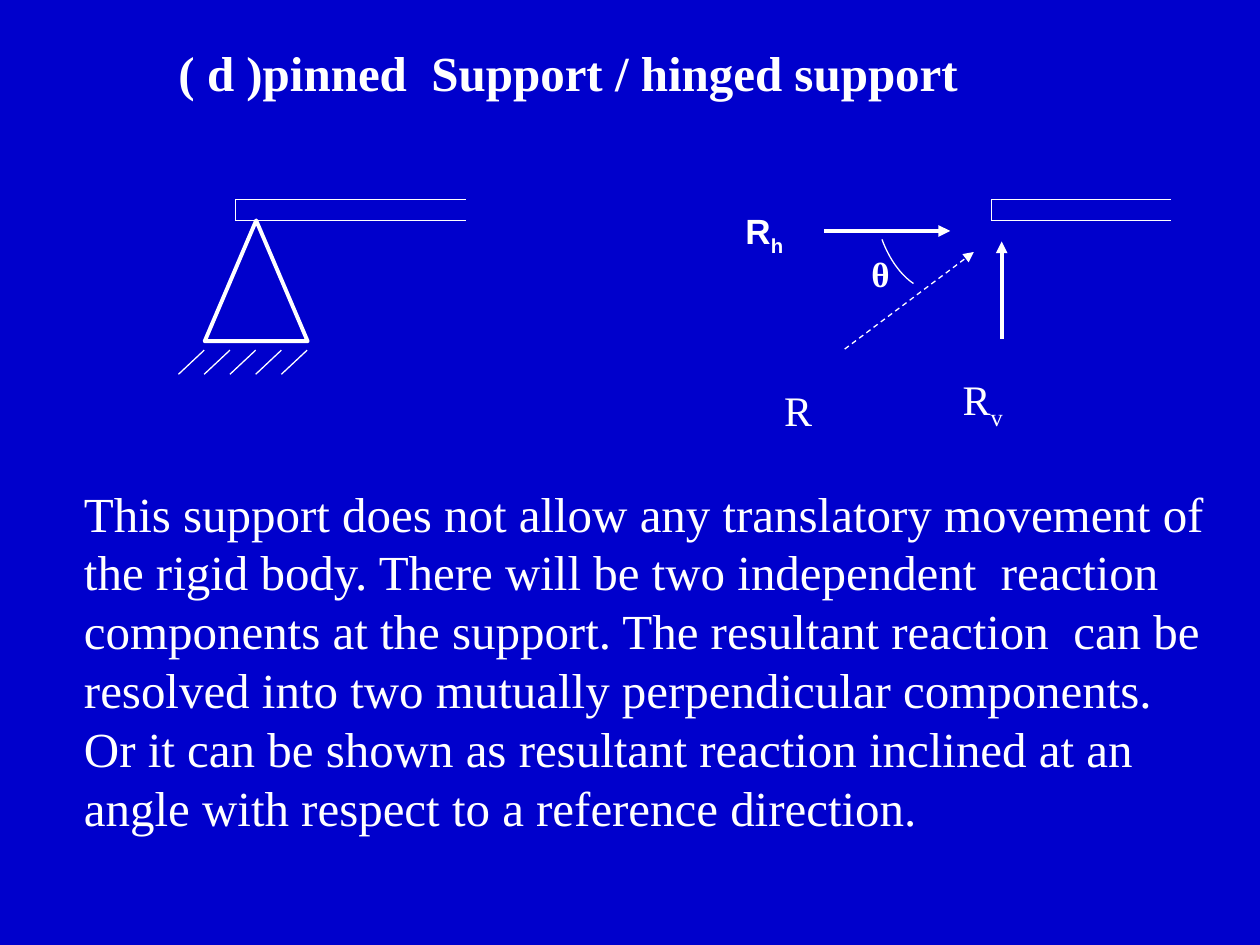
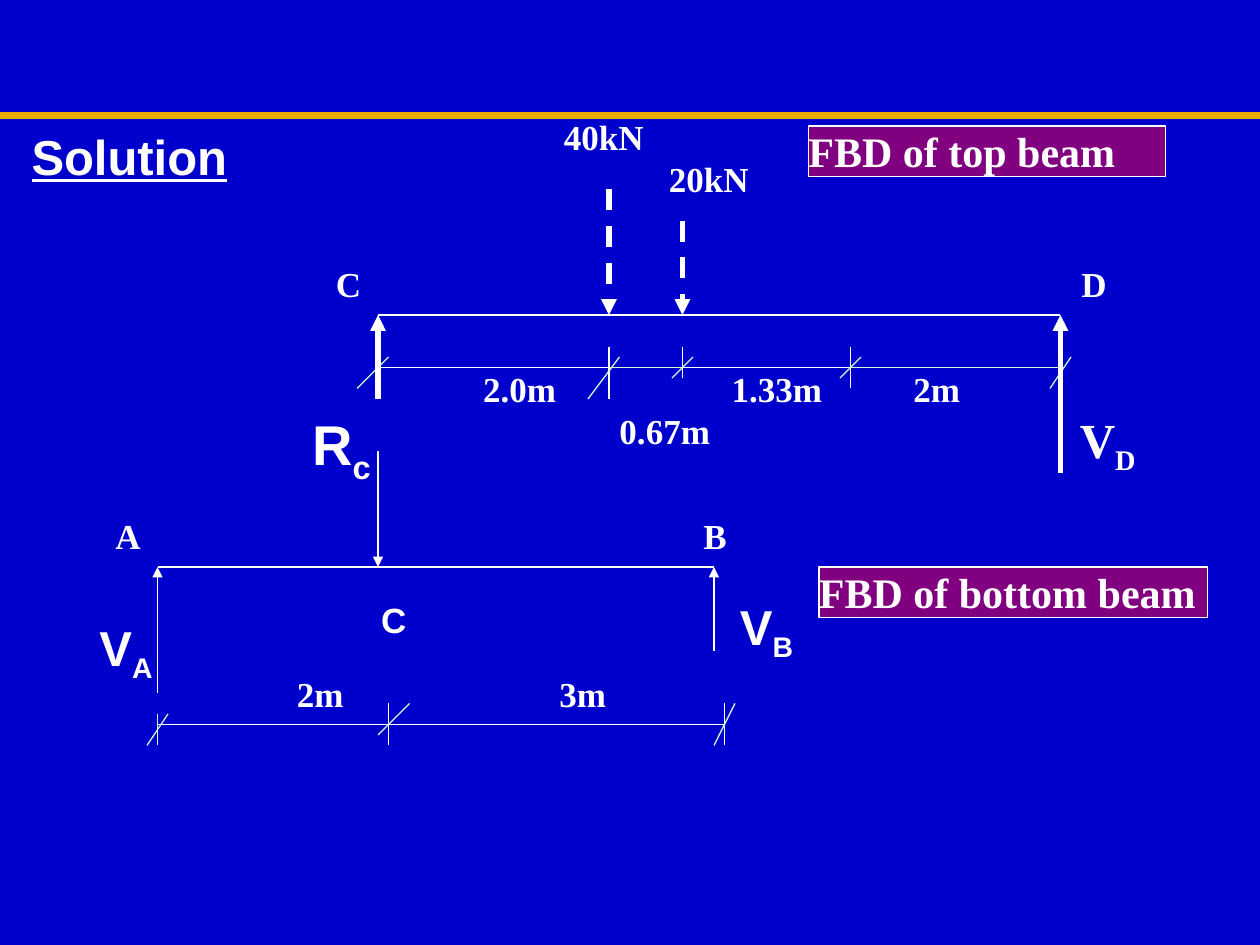
from dataclasses import dataclass

from pptx import Presentation
from pptx.dml.color import RGBColor
from pptx.enum.dml import MSO_LINE
from pptx.enum.shapes import MSO_CONNECTOR, MSO_SHAPE
from pptx.enum.text import MSO_ANCHOR, MSO_AUTO_SIZE, PP_ALIGN
from pptx.oxml.ns import qn
from pptx.util import Inches, Pt
from lxml.etree import SubElement

WIDE, HIGH = Inches(10), Inches(7.5)
COLS, ROWS = 120, 90
NAVY, WHITE, MINT = "0000CC", "FFFFFF", "CCFFCC"
GOLD, PLUM = "E8AB00", "800080"
SERIF, SANS = "Times New Roman", "Arial"


@dataclass
class Rule:
    x1: float
    y1: float
    x2: float
    y2: float
    width: float = 0.75
    color: str = WHITE
    dash: bool = False
    arrow: bool = False


@dataclass
class Label:
    x: float
    y: float
    w: float
    h: float
    text: str
    sub: str = ""
    size: int = 20
    font: str = SERIF
    bold: bool = True
    line: bool = False
    mid: bool = False
    pad: float = 0


def hue(code: str) -> RGBColor:
    return RGBColor.from_string(code)


def col(n: float) -> int:
    return round(WIDE * n / COLS)


def row(n: float) -> int:
    return round(HIGH * n / ROWS)


def place(shape, item: Label) -> None:
    shape.left, shape.top = col(item.x), row(item.y)
    shape.width, shape.height = col(item.w), row(item.h)


def write(shape, item: Label) -> None:
    frame = shape.text_frame
    frame.auto_size = MSO_AUTO_SIZE.NONE
    frame.word_wrap = True
    frame.vertical_anchor = MSO_ANCHOR.TOP
    frame.margin_left = frame.margin_right = col(item.pad)
    frame.margin_top = frame.margin_bottom = row(item.pad / 2)
    para = frame.paragraphs[0]
    para.alignment = PP_ALIGN.CENTER if item.mid else PP_ALIGN.LEFT
    para.space_before = Pt(0)
    for text, low in ((item.text, False), (item.sub, True)):
        if not text:
            continue
        run = para.add_run()
        run.text = text
        font = run.font
        font.name, font.size = item.font, Pt(item.size)
        font.bold, font.color.rgb = item.bold, hue(WHITE)
        if item.line:
            font.underline = True
        if low:
            run._r.get_or_add_rPr().set("baseline", "-25000")


def fill(holder, item: Label) -> None:
    place(holder, item)
    write(holder, item)


def label(slide, item: Label) -> None:
    box = slide.shapes.add_textbox(0, 0, 0, 0)
    fill(box, item)


def plate(slide, item: Label) -> None:
    box = slide.shapes.add_shape(MSO_SHAPE.RECTANGLE, 0, 0, 0, 0)
    box.shadow.inherit = False
    box.fill.solid()
    box.fill.fore_color.rgb = hue(PLUM)
    box.line.color.rgb = hue(WHITE)
    box.line.width = Pt(0.75)
    fill(box, item)


def rule(slide, item: Rule) -> None:
    link = slide.shapes.add_connector(
        MSO_CONNECTOR.STRAIGHT,
        col(item.x1), row(item.y1), col(item.x2), row(item.y2))
    link.line.color.rgb = hue(item.color)
    link.line.width = Pt(item.width)
    if item.dash:
        link.line.dash_style = MSO_LINE.DASH
    if item.arrow:
        SubElement(link.line._get_or_add_ln(), qn("a:tailEnd"), type="triangle")
    SubElement(link._element.spPr, qn("a:effectLst"))


def beam(slide, left: float, right: float) -> None:
    for y in (19, 21):
        rule(slide, Rule(left, y, right, y))
    rule(slide, Rule(left, 19, left, 21))


def outline(shape, width: float) -> None:
    shape.shadow.inherit = False
    shape.fill.background()
    shape.line.color.rgb = hue(WHITE)
    shape.line.width = Pt(width)


def arc(slide) -> None:
    curve = ((87, 27), (85.8, 26.2), (84.7, 24.7), (84, 22.8))
    steps = 16
    points = []
    for i in range(steps + 1):
        t = i / steps
        parts = ((1 - t) ** 3, 3 * t * (1 - t) ** 2, 3 * t * t * (1 - t), t ** 3)
        x = sum(k * p[0] for k, p in zip(parts, curve))
        y = sum(k * p[1] for k, p in zip(parts, curve))
        points.append((col(x), row(y)))
    pen = slide.shapes.build_freeform(*points[0])
    pen.add_line_segments(points[1:], close=False)
    outline(pen.convert_to_shape(), 0.75)


def hinge(deck) -> None:
    slide = deck.slides.add_slide(deck.slide_layouts[1])
    fill(slide.shapes.title, Label(
        17, 4, 75, 5.6, "( d )pinned  Support / hinged support", size=28))
    body = slide.placeholders[1]
    props = body.text_frame.paragraphs[0]._p.get_or_add_pPr()
    props.set("marL", "0")
    props.set("indent", "0")
    SubElement(props, qn("a:buNone"))
    fill(body, Label(
        8, 46, 107, 33.6,
        "This support does not allow any translatory movement of the rigid "
        "body. There will be two independent  reaction components at the "
        "support. The resultant reaction  can be resolved into two mutually "
        "perpendicular components. Or it can be shown as resultant reaction "
        "inclined at an angle with respect to a reference direction.",
        size=28, bold=False))

    pin = slide.shapes.add_shape(
        MSO_SHAPE.ISOSCELES_TRIANGLE, col(19.5), row(21), col(9.8), row(11.5))
    outline(pin, 2.25)
    for i in range(5):
        x = 17 + 2.45 * i
        rule(slide, Rule(x + 2.45, 33.35, x, 35.65))
    beam(slide, 22.45, 44.4)
    beam(slide, 94.4, 111.5)
    arc(slide)
    for item in (
        Rule(80.45, 33.25, 92.75, 24, dash=True, arrow=True),
        Rule(95.4, 32.25, 95.4, 23, 2.25, arrow=True),
        Rule(78.5, 22, 90.5, 22, 2.25, arrow=True),
    ):
        rule(slide, item)
    for item in (
        Label(90.5, 35, 9.8, 4.7, "R", "v", 24, bold=False, pad=1.2),
        Label(73.5, 36, 9.8, 4.7, "R", size=24, bold=False, pad=1.2),
        Label(71, 20, 4.6, 4.6, "R", "h", font=SANS),
        Label(83, 24, 2, 4, "θ"),
    ):
        label(slide, item)


def loads(deck) -> None:
    slide = deck.slides.add_slide(deck.slide_layouts[5])
    rule(slide, Rule(0, 11, COLS, 11, 4.5, GOLD))
    fill(slide.shapes.title, Label(
        3, 12, 20, 5.6, "Solution", size=28, font=SANS, line=True))

    for x1, x2, y in (
        (36, 101, 30), (15, 68, 54), (15, 69, 69), (36, 58, 35), (65, 81, 35),
    ):
        rule(slide, Rule(x1, y, x2, y))
    for x1, x2 in ((58, 65), (81, 101)):
        rule(slide, Rule(x1, 35, x2, 35, color=MINT))
    for x, top, foot in (
        (58, 33, 38), (65, 33, 36), (81, 33, 37), (37, 67, 71), (69, 67, 71),
    ):
        rule(slide, Rule(x, top, x, foot))
    rule(slide, Rule(15, 68, 15, 71, color=MINT))
    for x1, y1, x2, y2 in (
        (37, 34, 34, 37), (59, 34, 56, 38), (66, 34, 64, 36),
        (82, 34, 80, 36), (102, 34, 100, 37),
        (16, 68, 14, 71), (39, 67, 36, 70), (70, 67, 68, 71),
    ):
        rule(slide, Rule(x1, y1, x2, y2, color=MINT))
    for x, start, end, width, dash in (
        (36, 38, 30, 3, False), (101, 45, 30, 3, False),
        (58, 18, 30, 3, True), (65, 21, 30, 3, True),
        (36, 43, 54, 0.75, False), (15, 66, 54, 0.75, False),
        (68, 62, 54, 0.75, False),
    ):
        rule(slide, Rule(x, start, x, end, width, dash=dash, arrow=True))

    for x, y, w, text in (
        (53, 11, 9, "40kN"), (63, 15, 9, "20kN"),
        (42, 35, 15, "2.0m"), (68, 35, 12, "1.33m"),
        (23, 64, 15, "2m"), (47, 64, 17, "3m"),
    ):
        label(slide, Label(x, y, w, 4, text, mid=True))
    for x, y, w, text in (
        (32, 25, 10, "C"), (103, 25, 7, "D"), (11, 49, 8, "A"),
        (67, 49, 6, "B"), (59, 39, 10, "0.67m"), (87, 35, 7, "2m"),
    ):
        label(slide, Label(x, y, w, 4, text))
    for x, y, w, text, sub, size, font in (
        (8, 58.8, 8, "V", "A", 28, SANS), (70, 56.8, 6, "V", "B", 28, SANS),
        (102, 39, 7, "V", "D", 28, SERIF), (28, 39, 9, "R", "c", 32, SANS),
        (34, 57, 7, "C", "", 20, SANS),
    ):
        label(slide, Label(x, y, w, 6.4, text, sub, size, font, mid=True))
    for x, y, w, text in (
        (77, 12, 34, "FBD of top beam"), (78, 54, 37, "FBD of bottom beam"),
    ):
        plate(slide, Label(x, y, w, 4.8, text, size=24))


def main() -> None:
    deck = Presentation()
    deck.slide_width, deck.slide_height = WIDE, HIGH
    back = deck.slide_master.background.fill
    back.solid()
    back.fore_color.rgb = hue(NAVY)
    hinge(deck)
    loads(deck)
    deck.save("out.pptx")


if __name__ == "__main__":
    main()
